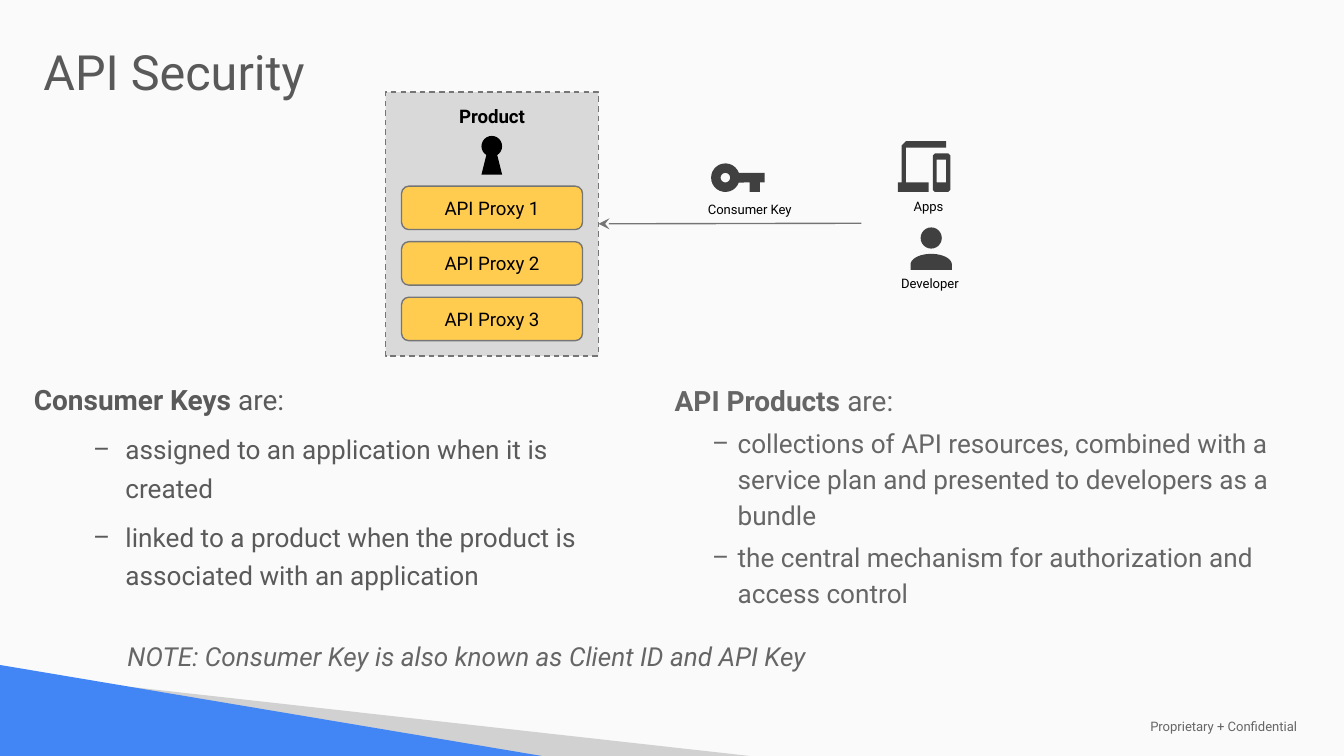
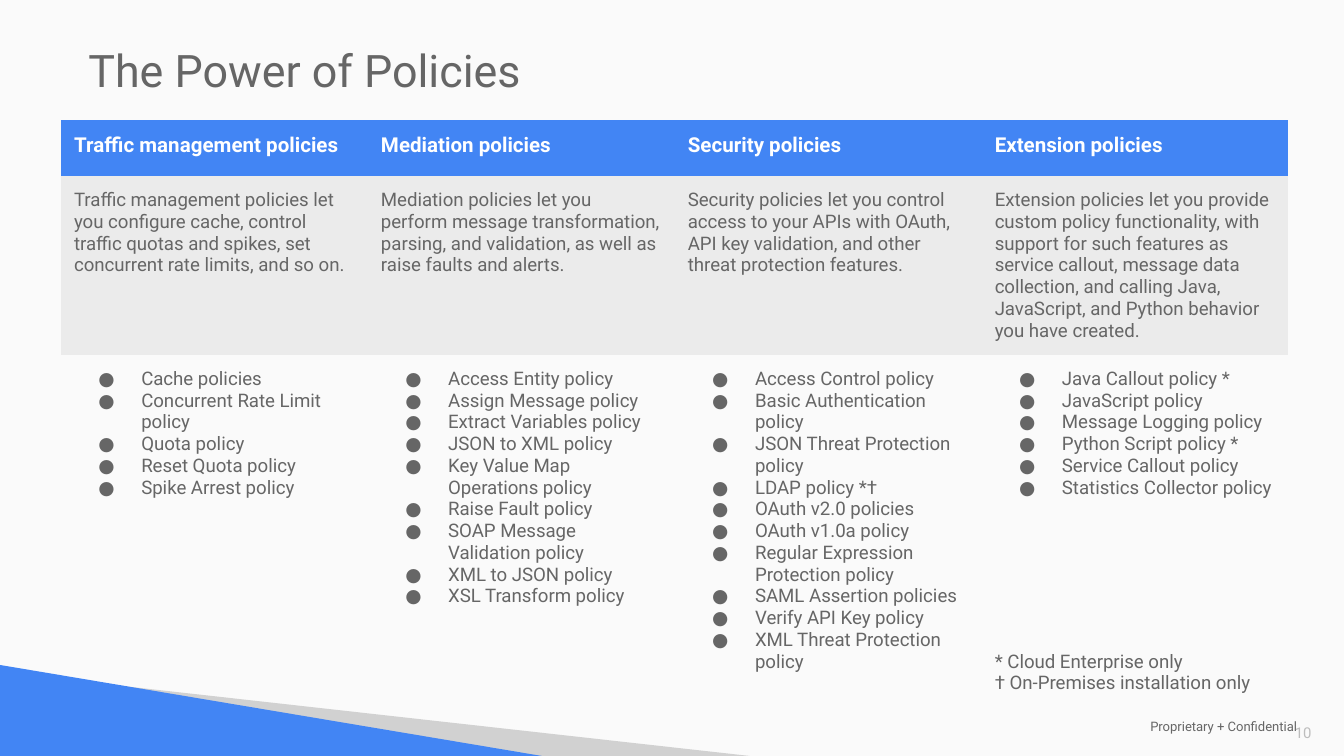
import math

from lxml import etree
from pptx import Presentation
from pptx.dml.color import RGBColor
from pptx.enum import dml, shapes, text
from pptx.oxml import ns
from pptx.util import Cm, Pt

FONT = "Roboto"
BLUE, GRAY, INK, DARK = "4285F4", "666666", "595959", "404040"
BLACK, WHITE, LINE = "000000", "FFFFFF", "757575"
WIDTH, HEIGHT = 25.4, 14.29
NO_STYLE_TABLE = "{2D5ABB26-0587-4C30-8999-92F81FD0307C}"
PADDING = (0.25, 0.25, 0.25, 0.25)
SMALL_PADDING = (0.18, 0.1, 0.18, 0.1)
LABEL_PADDING = (0.25, 0.13, 0.25, 0.13)
LEFT, CENTER, RIGHT = text.PP_ALIGN.LEFT, text.PP_ALIGN.CENTER, text.PP_ALIGN.RIGHT
TOP, MIDDLE = text.MSO_ANCHOR.TOP, text.MSO_ANCHOR.MIDDLE


def color(value):
    return RGBColor.from_string(value)


def arc(x, y, rx, ry, start, end, steps=24):
    """Points along an ellipse, angles in degrees, clockwise from the right."""
    angles = [math.radians(start + (end - start) * i / steps) for i in range(steps + 1)]
    return [(x + rx * math.cos(a), y + ry * math.sin(a)) for a in angles]


def add_xml(parent, tag, **attributes):
    return etree.SubElement(parent, ns.qn(tag), attributes)


class Deck:
    def __init__(self):
        self.presentation = Presentation()
        self.presentation.slide_width = Cm(WIDTH)
        self.presentation.slide_height = Cm(HEIGHT)
        self.slide = None

    def new_slide(self, layout):
        """Start a slide with the shared background, bands and footer."""
        self.slide = self.presentation.slides.add_slide(
            self.presentation.slide_layouts[layout])
        fill = self.slide.background.fill
        fill.solid()
        fill.fore_color.rgb = color("FAFAFA")
        self.freeform([[(2.16, 12.95), (14.17, HEIGHT), (10.19, HEIGHT)]], "D1D1D1")
        self.freeform([[(0, 12.57), (0, HEIGHT), (10.24, HEIGHT)]], BLUE)
        self.label("Proprietary + Confidential", (21.49, 13.54, 3.78, 0.36), 7, GRAY,
                   anchor=MIDDLE)

    # Text
    def frame(self, holder, padding=PADDING, anchor=TOP):
        frame = holder.text_frame
        frame.word_wrap = True
        frame.auto_size = text.MSO_AUTO_SIZE.NONE
        frame.vertical_anchor = anchor
        (frame.margin_left, frame.margin_top,
         frame.margin_right, frame.margin_bottom) = map(Cm, padding)
        return frame

    def style(self, paragraph, size, tint, bold=False, italic=False, align=LEFT):
        paragraph.alignment = align
        for run in paragraph.runs:
            font = run.font
            font.name, font.size, font.bold, font.italic = FONT, Pt(size), bold, italic
            font.color.rgb = color(tint)

    def bullet(self, paragraph, mark, tint, left, hanging):
        properties = paragraph._p.get_or_add_pPr()
        properties.set("marL", str(Cm(left)))
        properties.set("indent", str(-Cm(hanging)))
        if not mark:
            add_xml(properties, "a:buNone")
            return
        add_xml(add_xml(properties, "a:buClr"), "a:srgbClr", val=tint)
        add_xml(properties, "a:buFont", typeface=FONT)
        add_xml(properties, "a:buChar", char=mark)

    def place(self, shape, box):
        shape.left, shape.top, shape.width, shape.height = map(Cm, box)

    def title(self, words, box, size, tint, padding=PADDING, anchor=TOP):
        shape = self.slide.shapes.title
        self.place(shape, box)
        frame = self.frame(shape, padding, anchor)
        frame.text = words
        self.style(frame.paragraphs[0], size, tint)

    def body(self, index, box, lead, items, tint, padding, indent, spacing, gap):
        """A bold lead-in followed by a dashed list."""
        shape = self.slide.placeholders[index]
        self.place(shape, box)
        frame = self.frame(shape, padding)
        frame.text = lead
        heading = frame.paragraphs[0]
        heading.space_before, heading.line_spacing = Pt(0), spacing[0]
        self.style(heading, 15, tint, bold=True)
        rest = heading.add_run()
        rest.text = " are:"
        rest.font.name, rest.font.size, rest.font.bold = FONT, Pt(15), False
        rest.font.color.rgb = color(tint)
        self.bullet(heading, None, tint, 0, 0)
        for item in items:
            paragraph = frame.add_paragraph()
            paragraph.text, paragraph.level = item, 1
            paragraph.space_before, paragraph.line_spacing = Pt(gap), spacing[1]
            self.style(paragraph, 14, tint)
            self.bullet(paragraph, "–", tint, *indent)

    def label(self, words, box, size, tint, padding=PADDING, anchor=TOP, **style):
        shape = self.slide.shapes.add_textbox(*map(Cm, box))
        frame = self.frame(shape, padding, anchor)
        frame.text = words
        self.style(frame.paragraphs[0], size, tint, **style)

    # Drawing
    def paint(self, shape, fill, line=None, dashed=False):
        shape.shadow.inherit = False
        shape.fill.solid()
        shape.fill.fore_color.rgb = color(fill)
        if line is None:
            shape.line.fill.background()
            return
        shape.line.color.rgb = color(line)
        shape.line.width = Pt(0.75)
        if dashed:
            shape.line.dash_style = dml.MSO_LINE.DASH

    def box(self, kind, box, fill, words=None, anchor=MIDDLE, bold=False, **outline):
        shape = self.slide.shapes.add_shape(kind, *map(Cm, box))
        self.paint(shape, fill, **outline)
        if words:
            frame = self.frame(shape, anchor=anchor)
            frame.text = words
            self.style(frame.paragraphs[0], 10, BLACK, bold=bold, align=CENTER)

    def freeform(self, contours, fill):
        builder = None
        for contour in contours:
            start, *others = [(Cm(x), Cm(y)) for x, y in contour]
            if builder is None:
                builder = self.slide.shapes.build_freeform(*start)
            else:
                builder.move_to(*start)
            builder.add_line_segments(others, close=True)
        self.paint(builder.convert_to_shape(), fill)

    def arrow(self, start, end):
        connector = self.slide.shapes.add_connector(
            shapes.MSO_CONNECTOR.STRAIGHT, *map(Cm, start + end))
        connector.line.color.rgb = color(LINE)
        connector.line.width = Pt(0.75)
        add_xml(connector.line._get_or_add_ln(), "a:tailEnd", type="stealth")
        add_xml(connector._element.spPr, "a:effectLst")

    # Table
    def table(self, left, top, column_width, row_heights, columns, notes):
        rows = len(row_heights)
        table = self.slide.shapes.add_table(
            rows, len(columns), Cm(left), Cm(top),
            Cm(column_width * len(columns)), Cm(sum(row_heights))).table
        table.first_row = table.horz_banding = False
        table._tbl.tblPr.find(ns.qn("a:tableStyleId")).text = NO_STYLE_TABLE
        for row, height in zip(table.rows, row_heights):
            row.height = Cm(height)
        for index, (heading, summary, policies) in enumerate(columns):
            table.columns[index].width = Cm(column_width)
            self.cell(table.cell(0, index), [heading], BLUE, 11, WHITE, bold=True)
            self.cell(table.cell(1, index), [summary], "EBEBEB")
            self.cell(table.cell(2, index), policies)
            for paragraph in table.cell(2, index).text_frame.paragraphs:
                self.bullet(paragraph, "●", GRAY, 1.27, 0.81)
        # Footnotes below the last list
        frame = table.cell(rows - 1, len(columns) - 1).text_frame
        for index, note in enumerate(notes):
            paragraph = frame.add_paragraph()
            paragraph.text = note
            paragraph.space_before = Pt(0 if index else 81.5)
            self.style(paragraph, 10, GRAY)

    def cell(self, cell, lines, fill=None, size=10, tint=GRAY, bold=False):
        cell.margin_left = cell.margin_right = Cm(0.25)
        cell.margin_top = cell.margin_bottom = Cm(0.25)
        if fill:
            cell.fill.solid()
            cell.fill.fore_color.rgb = color(fill)
        else:
            cell.fill.background()
        cell.text_frame.text = "\n".join(lines)
        for paragraph in cell.text_frame.paragraphs:
            self.style(paragraph, size, tint, bold=bold)


def security_slide(deck):
    deck.new_slide(3)
    deck.title("API Security", (0.64, 0.97, 18.77, 0.76), 26, INK, SMALL_PADDING, MIDDLE)
    deck.body(1, (0.64, 7.06, 10.69, 5.11), "Consumer Keys",
              ["assigned to an application when it is created",
               "linked to a product when the product is associated with an application"],
              "5A5A5A", (0, 0.1, 0.2, 0.1), (1.73, 0.61), (1.1, 1.22), 6)
    deck.body(2, (12.57, 7.06, 12.37, 5.11), "API Products",
              ["collections of API resources, combined with a service plan and "
               "presented to developers as a bundle",
               "the central mechanism for authorization and access control"],
              GRAY, SMALL_PADDING, (1.19, 0.48), (1.15, 1.15), 3)

    # Product with its keyhole and proxies
    kinds = shapes.MSO_SHAPE
    deck.box(kinds.RECTANGLE, (7.29, 1.74, 4.02, 4.99), "D9D9D9", "Product",
             anchor=TOP, bold=True, line=LINE, dashed=True)
    for index in range(3):
        deck.box(kinds.ROUNDED_RECTANGLE, (7.59, 3.52 + 1.05 * index, 3.42, 0.82),
                 "FFCC50", f"API Proxy {index + 1}", line=LINE)
    deck.box(kinds.OVAL, (9.1, 2.57, 0.39, 0.39), BLACK)
    deck.box(kinds.TRAPEZOID, (9.1, 2.91, 0.39, 0.39), BLACK)

    # Key, devices and person
    deck.arrow((16.28, 4.22), (11.31, 4.23))
    deck.freeform([
        arc(13.71, 3.36, 0.27, 0.27, 340, 20)
        + [(14.17, 3.45), (14.17, 3.63), (14.36, 3.63), (14.36, 3.45),
           (14.45, 3.45), (14.45, 3.27)],
        arc(13.71, 3.36, 0.09, 0.09, 0, 360)], DARK)
    deck.freeform([
        [(17.12, 2.79), (17.88, 2.79), (17.88, 2.67), (17.12, 2.67), (17.04, 2.75),
         (17.04, 3.45), (16.97, 3.45), (16.97, 3.63), (17.55, 3.63), (17.55, 3.45),
         (17.12, 3.45)],
        [(17.67, 2.9), (17.92, 2.9), (17.96, 2.94), (17.96, 3.59), (17.92, 3.63),
         (17.67, 3.63), (17.63, 3.59), (17.63, 2.94)],
        [(17.7, 3.02), (17.88, 3.02), (17.88, 3.45), (17.7, 3.45)]], DARK)
    deck.freeform([
        arc(17.6, 4.5, 0.2, 0.2, 0, 360),
        arc(17.6, 5, 0.39, 0.2, 180, 360) + [(17.99, 5.1), (17.21, 5.1)]], DARK)
    for words, box in (("Consumer Key", (13, 3.68, 2.34, 0.53)),
                       ("Apps", (16.28, 3.63, 2.54, 1.17)),
                       ("Developer", (16.51, 5.08, 2.13, 0.64))):
        deck.label(words, box, 7, BLACK, LABEL_PADDING, align=CENTER)

    deck.label("NOTE: Consumer Key is also known as Client ID and API Key",
               (2.16, 11.86, 20.07, 1.09), 14, GRAY, italic=True)


def policies_slide(deck):
    deck.new_slide(5)
    deck.title("The Power of Policies", (1.42, 0.56, 22.56, 2.08), 24, GRAY)
    deck.label("10", (23.7, 13.46, 1.27, 0.76), 8, "BDBDBD", SMALL_PADDING, MIDDLE,
               align=RIGHT)
    columns = [
        ("Traffic management policies",
         "Traffic management policies let you configure cache, control traffic quotas "
         "and spikes, set concurrent rate limits, and so on.",
         ["Cache policies", "Concurrent Rate Limit policy", "Quota policy",
          "Reset Quota policy", "Spike Arrest policy"]),
        ("Mediation policies",
         "Mediation policies let you perform message transformation, parsing, and "
         "validation, as well as raise faults and alerts.",
         ["Access Entity policy", "Assign Message policy", "Extract Variables policy",
          "JSON to XML policy", "Key Value Map Operations policy", "Raise Fault policy",
          "SOAP Message Validation policy", "XML to JSON policy",
          "XSL Transform policy"]),
        ("Security policies",
         "Security policies let you control access to your APIs with OAuth, API key "
         "validation, and other threat protection features.",
         ["Access Control policy", "Basic Authentication policy",
          "JSON Threat Protection policy", "LDAP policy *†", "OAuth v2.0 policies",
          "OAuth v1.0a policy", "Regular Expression Protection policy",
          "SAML Assertion policies", "Verify API Key policy",
          "XML Threat Protection policy"]),
        ("Extension policies",
         "Extension policies let you provide custom policy functionality, with support "
         "for such features as service callout, message data collection, and calling "
         "Java, JavaScript, and Python behavior you have created.",
         ["Java Callout policy *", "JavaScript policy", "Message Logging policy",
          "Python Script policy *", "Service Callout policy",
          "Statistics Collector policy"]),
    ]
    deck.table(1.15, 2.27, 5.8, (1.06, 3.38, 6.65), columns,
               ["* Cloud Enterprise only", "† On-Premises installation only"])


def main():
    deck = Deck()
    security_slide(deck)
    policies_slide(deck)
    deck.presentation.save("out.pptx")


if __name__ == "__main__":
    main()
